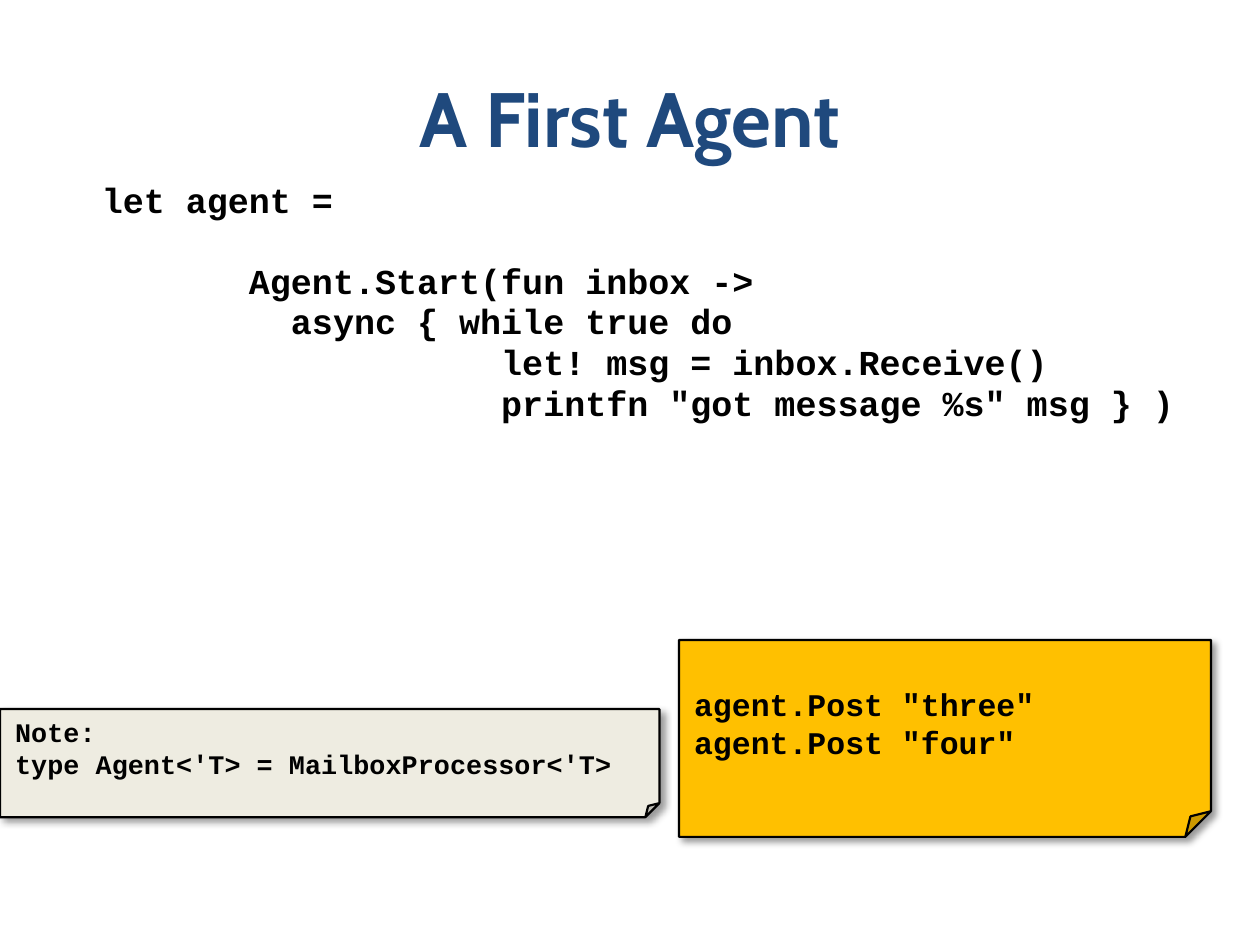
from lxml.etree import SubElement
from pptx import Presentation
from pptx.dml.color import RGBColor
from pptx.enum.shapes import MSO_SHAPE
from pptx.enum.text import MSO_ANCHOR, MSO_AUTO_SIZE, PP_ALIGN
from pptx.oxml.ns import qn
from pptx.util import Pt

COLORS = {
    "title": "1F497D",
    "ink": "000000",
    "post": "FFC000",
    "note": "EEECE1",
}
CODE_FONT = "Courier New"
AGENT_CODE = [
    "let agent =",
    "       Agent.Start(fun inbox ->",
    "         async { while true do",
    "                   let! msg = inbox.Receive()",
    '                   printfn "got message %s" msg } )',
]


def color(name):
    return RGBColor.from_string(COLORS[name])


def write(frame, lines, size, font=CODE_FONT, ink="ink", align=PP_ALIGN.LEFT,
          anchor=MSO_ANCHOR.TOP, spacing=None, gaps=None, wrap=True):
    """Fill a text frame, one paragraph a line; gaps holds each space before."""
    frame.word_wrap = wrap
    frame.auto_size = MSO_AUTO_SIZE.NONE
    frame.vertical_anchor = anchor
    for index, line in enumerate(lines):
        para = frame.paragraphs[0] if index == 0 else frame.add_paragraph()
        para.alignment = align
        if spacing:
            para.line_spacing = spacing
        if gaps:
            para.space_before = Pt(gaps[index])
        span = para.add_run()
        span.text = line
        span.font.name = font
        span.font.size = Pt(size)
        span.font.bold = True
        span.font.color.rgb = color(ink)


def add_title(page, text):
    title = page.shapes.title
    title.left, title.top, title.width, title.height = Pt(36), Pt(21.6), Pt(648), Pt(90)
    write(title.text_frame, [text], 44, font="Cabin", ink="title",
          align=PP_ALIGN.CENTER, anchor=MSO_ANCHOR.MIDDLE)


def add_code(page, lines):
    box = page.shapes.add_textbox(Pt(51.1), Pt(103), Pt(636.5), Pt(154.8))
    # The first line stands one empty line above the rest.
    write(box.text_frame, lines, 20, spacing=0.8, gaps=[0, 27, 4, 4, 4])


def set_fold(shape, share):
    """Set the corner size, which python-pptx does not list as an adjustment."""
    geometry = shape._element.spPr.find(qn("a:prstGeom"))
    guides = geometry.find(qn("a:avLst"))
    if guides is None:
        guides = SubElement(geometry, qn("a:avLst"))
    SubElement(guides, qn("a:gd"), name="adj", fmla=f"val {round(share * 100000)}")


def add_shadow(shape):
    effects = shape._element.spPr.find(qn("a:effectLst"))
    shadow = SubElement(effects, qn("a:outerShdw"), blurRad=str(Pt(4)),
                        dist=str(Pt(3)), dir="2700000", algn="tl", rotWithShape="0")
    ink = SubElement(shadow, qn("a:srgbClr"), val=COLORS["ink"])
    SubElement(ink, qn("a:alpha"), val="40000")


def add_card(page, left, top, width, height, fill, lines, size, inset_top=3.6):
    card = page.shapes.add_shape(MSO_SHAPE.FOLDED_CORNER,
                                 Pt(left), Pt(top), Pt(width), Pt(height))
    set_fold(card, 0.13)
    card.fill.solid()
    card.fill.fore_color.rgb = color(fill)
    card.line.color.rgb = color("ink")
    card.line.width = Pt(1.25)
    card.shadow.inherit = False
    add_shadow(card)
    frame = card.text_frame
    frame.margin_left = frame.margin_right = Pt(8.64)
    frame.margin_top, frame.margin_bottom = Pt(inset_top), Pt(3.6)
    write(frame, lines, size, wrap=False)


def main():
    deck = Presentation()
    deck.slide_width, deck.slide_height = Pt(720), Pt(540)
    page = deck.slides.add_slide(deck.slide_layouts[5])
    add_title(page, "A First Agent")
    add_code(page, AGENT_CODE)
    add_card(page, 388, 365.7, 304, 112.5, "post",
             ['agent.Post "three"', 'agent.Post "four"'], 18, inset_top=26)
    add_card(page, 0, 405.2, 376.8, 61.8, "note",
             ["Note:", "type Agent<'T> = MailboxProcessor<'T>"], 15.3)
    deck.save("out.pptx")


if __name__ == "__main__":
    main()
